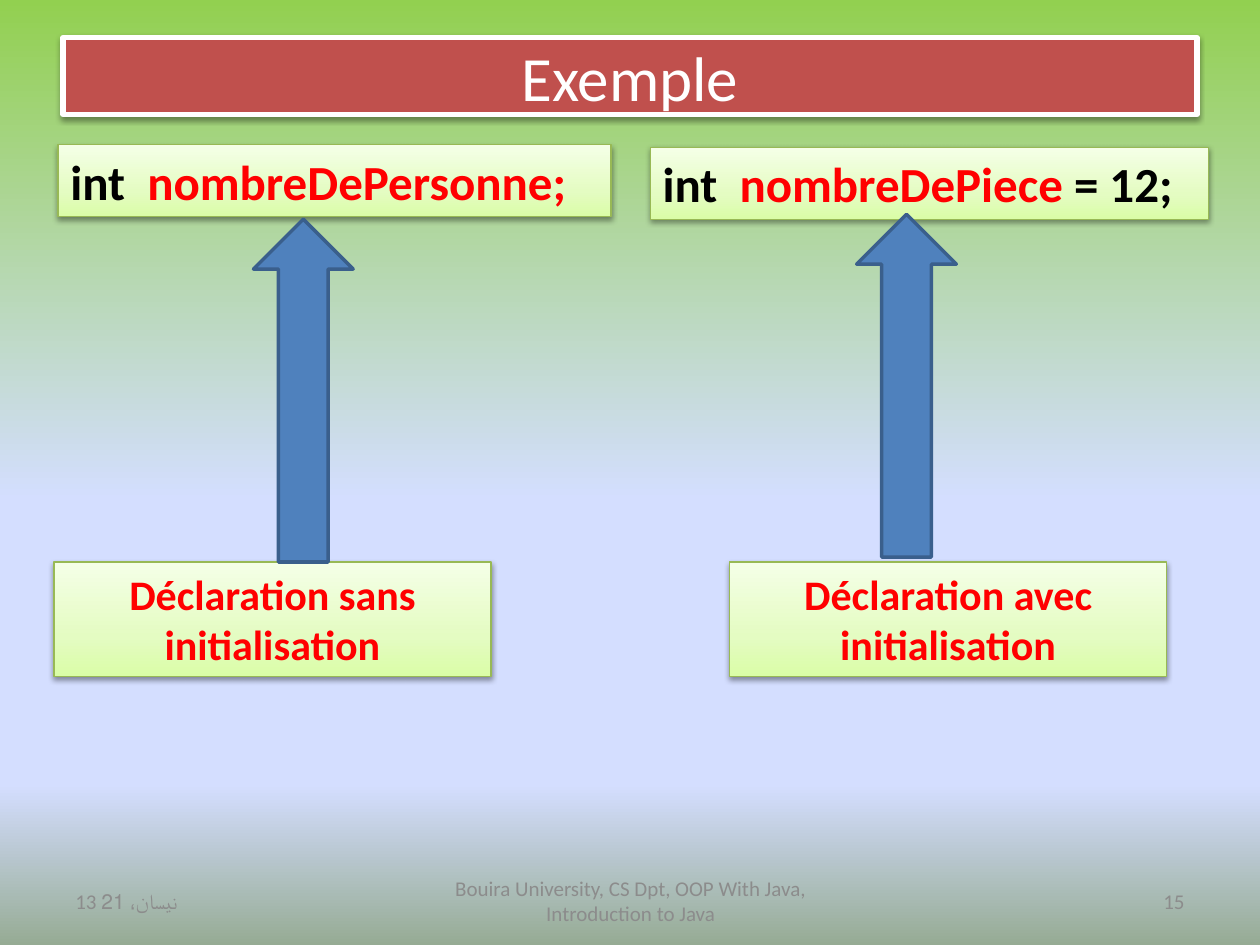
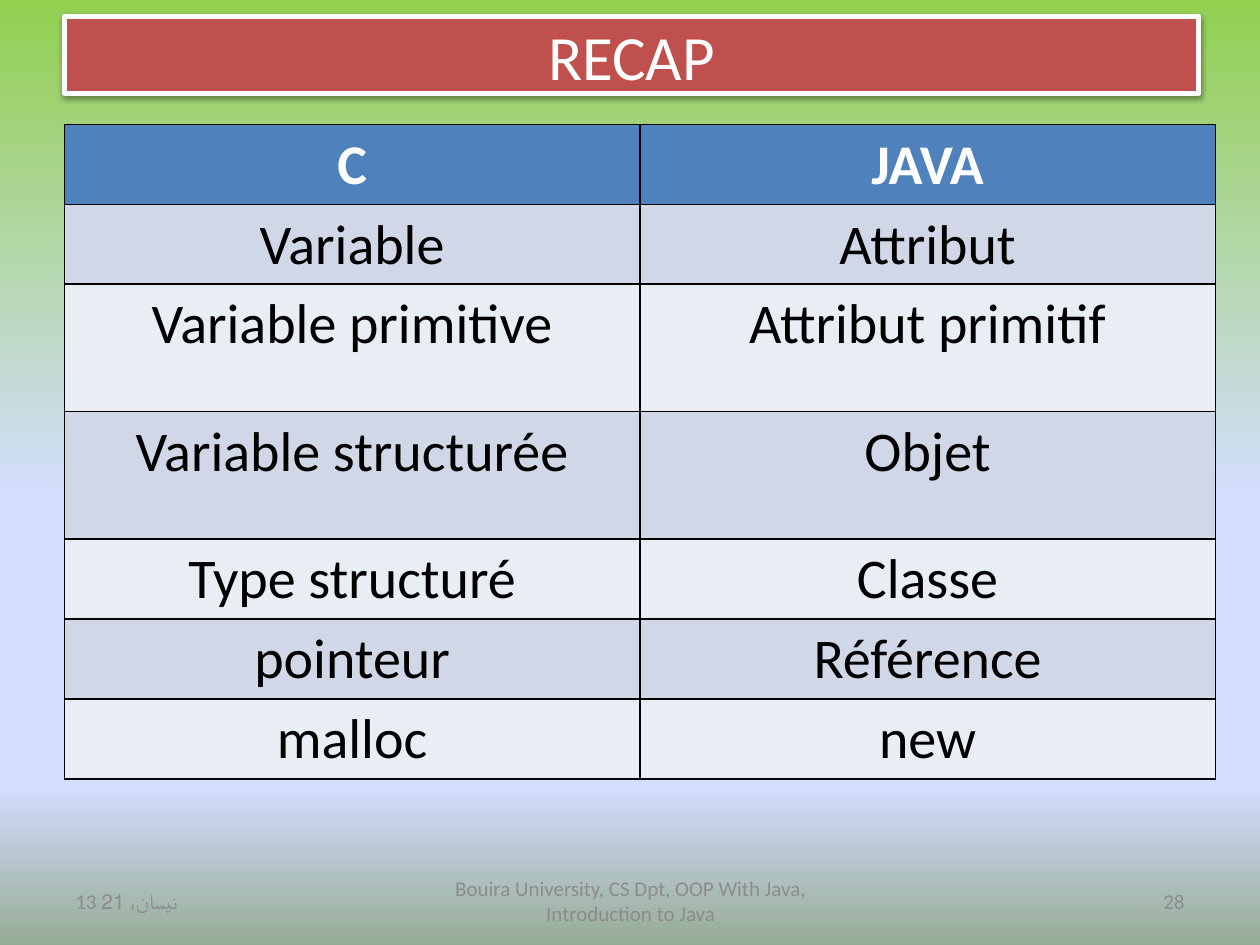
"""Build two slides of a Java lecture: declaration examples and a C / Java recap table."""
from lxml.etree import SubElement
from pptx import Presentation
from pptx.dml.color import RGBColor
from pptx.enum.shapes import MSO_SHAPE
from pptx.enum.text import MSO_ANCHOR, MSO_AUTO_SIZE, PP_ALIGN
from pptx.oxml.ns import qn
from pptx.util import Cm, Pt

COLORS = {
    "title": "C0504D", "white": "FFFFFF", "black": "000000", "red": "FF0000",
    "grey": "8C8C8C", "blue": "4F81BD", "arrow line": "3A5F8C",
    "panel line": "98B955", "odd row": "D0D8E8", "even row": "E9EDF4",
}
COLORS = {name: RGBColor.from_string(value) for name, value in COLORS.items()}
BACKGROUND = [(0, "92D050"), (53, "D4DEFF"), (83, "D4DEFF"), (100, "96AB94")]
PANEL = [(0, "DAFDA7"), (35, "E4FCC2"), (100, "F5FFE7")]


def set_gradient(fill, element, stops, angle):
    """Give a fill any number of gradient stops; the angle is counter-clockwise."""
    fill.gradient()
    fill.gradient_angle = angle
    stop_list = element.find(".//" + qn("a:gsLst"))
    for old_stop in list(stop_list):
        stop_list.remove(old_stop)
    for position, color in stops:
        stop = SubElement(stop_list, qn("a:gs"), pos=str(position * 1000))
        SubElement(stop, qn("a:srgbClr"), val=color)


def write(frame, runs, size, alignment=PP_ALIGN.CENTER, bold=False, **frame_format):
    """Write one paragraph of (text, colour) runs and format its frame."""
    for name, value in frame_format.items():
        setattr(frame, name, value)
    paragraph = frame.paragraphs[0]
    paragraph.alignment = alignment
    for text, color in runs:
        run = paragraph.add_run()
        run.text = text
        run.font.color.rgb = COLORS[color]
        for name, value in {"name": "Calibri", "size": Pt(size), "bold": bold}.items():
            setattr(run.font, name, value)


presentation = Presentation()
presentation.slide_width, presentation.slide_height = Cm(25.4), Cm(19.05)
master = presentation.slide_master
set_gradient(master.background.fill, master.element, BACKGROUND, 270)

slides = []
raised_shapes = []
for title_text, left, top, number in [("Exemple", 1.27, 0.76, "15"), ("RECAP", 1.3, 0.33, "28")]:
    slide = presentation.slides.add_slide(presentation.slide_layouts[5])
    slides.append(slide)
    title = slide.shapes.title
    place = {"left": Cm(left), "top": Cm(top), "width": Cm(22.86), "height": Cm(1.55)}
    for name, value in place.items():
        setattr(title, name, value)
    title.fill.solid()
    title.fill.fore_color.rgb = COLORS["title"]
    title.line.color.rgb = COLORS["white"]
    title.line.width = Pt(3)
    write(title.text_frame, [(title_text, "white")], 36, word_wrap=True,
          auto_size=MSO_AUTO_SIZE.NONE, vertical_anchor=MSO_ANCHOR.MIDDLE)
    raised_shapes.append(title)

    footers = [
        ("13 نيسان، 21", 1.27, 5.92, PP_ALIGN.LEFT),
        ("Bouira University, CS Dpt, OOP With Java, Introduction to Java",
         8.69, 8.05, PP_ALIGN.CENTER),
        (number, 18.21, 5.92, PP_ALIGN.RIGHT),
    ]
    for text, left, width, alignment in footers:
        footer = slide.shapes.add_textbox(Cm(left), Cm(17.65), Cm(width), Cm(1.02))
        write(footer.text_frame, [(text, "grey")], 12, alignment,
              word_wrap=True, vertical_anchor=MSO_ANCHOR.MIDDLE)

example, recap = slides

panels = [
    (1.17, 2.92, 11.15, 1.45, 28, PP_ALIGN.LEFT,
     [("int  ", "black"), ("nombreDePersonne;", "red")]),
    (13.11, 2.97, 11.25, 1.45, 28, PP_ALIGN.LEFT,
     [("int  ", "black"), ("nombreDePiece ", "red"), ("= 12;", "black")]),
    (1.09, 11.33, 8.81, 2.31, 24, PP_ALIGN.CENTER,
     [("Déclaration sans initialisation", "red")]),
    (14.71, 11.33, 8.81, 2.31, 24, PP_ALIGN.CENTER,
     [("Déclaration avec initialisation", "red")]),
]
for left, top, width, height, size, alignment, runs in panels:
    panel = example.shapes.add_shape(
        MSO_SHAPE.RECTANGLE, Cm(left), Cm(top), Cm(width), Cm(height))
    set_gradient(panel.fill, panel.element, PANEL, 90)
    panel.line.color.rgb = COLORS["panel line"]
    panel.line.width = Pt(0.75)
    write(panel.text_frame, runs, size, alignment, bold=True, word_wrap=True,
          auto_size=MSO_AUTO_SIZE.SHAPE_TO_FIT_TEXT, vertical_anchor=MSO_ANCHOR.TOP)
    raised_shapes.append(panel)

for left, top in [(5.11, 4.42), (17.27, 4.32)]:
    arrow = example.shapes.add_shape(
        MSO_SHAPE.UP_ARROW, Cm(left), Cm(top), Cm(2.01), Cm(6.91))
    arrow.shadow.inherit = False
    arrow.fill.solid()
    arrow.fill.fore_color.rgb = COLORS["blue"]
    arrow.line.color.rgb = COLORS["arrow line"]
    arrow.line.width = Pt(2)

for shape in raised_shapes:
    shape.shadow.inherit = False
    effects = shape.element.spPr.find(qn("a:effectLst"))
    shadow = SubElement(effects, qn("a:outerShdw"), blurRad=str(Pt(3.1)),
                        dist=str(Pt(1.6)), dir="5400000", rotWithShape="0")
    shadow_color = SubElement(shadow, qn("a:srgbClr"), val=str(COLORS["black"]))
    SubElement(shadow_color, qn("a:alpha"), val="38000")

equivalents = [
    ("C", "JAVA"),
    ("Variable", "Attribut"),
    ("Variable primitive", "Attribut primitif"),
    ("Variable structurée", "Objet"),
    ("Type structuré", "Classe"),
    ("pointeur", "Référence"),
    ("malloc", "new"),
]
row_heights = [1.45, 1.45, 2.57, 2.57, 1.45, 1.45, 1.45]
table = recap.shapes.add_table(
    len(equivalents), 2, Cm(1.3), Cm(2.51), Cm(23.2), Cm(sum(row_heights))).table
for row_index, (words, height) in enumerate(zip(equivalents, row_heights)):
    table.rows[row_index].height = Cm(height)
    is_header = row_index == 0
    fill_name = "blue" if is_header else "odd row" if row_index % 2 else "even row"
    for column_index, word in enumerate(words):
        cell = table.cell(row_index, column_index)
        cell_properties = cell._tc.get_or_add_tcPr()
        for side in "LRTB":
            border = SubElement(cell_properties, qn("a:ln" + side), w=str(Pt(1)))
            border_fill = SubElement(border, qn("a:solidFill"))
            SubElement(border_fill, qn("a:srgbClr"), val=str(COLORS["black"]))
        cell.fill.solid()
        cell.fill.fore_color.rgb = COLORS[fill_name]
        write(cell.text_frame, [(word, "white" if is_header else "black")], 32,
              bold=is_header)

presentation.save("out.pptx")
